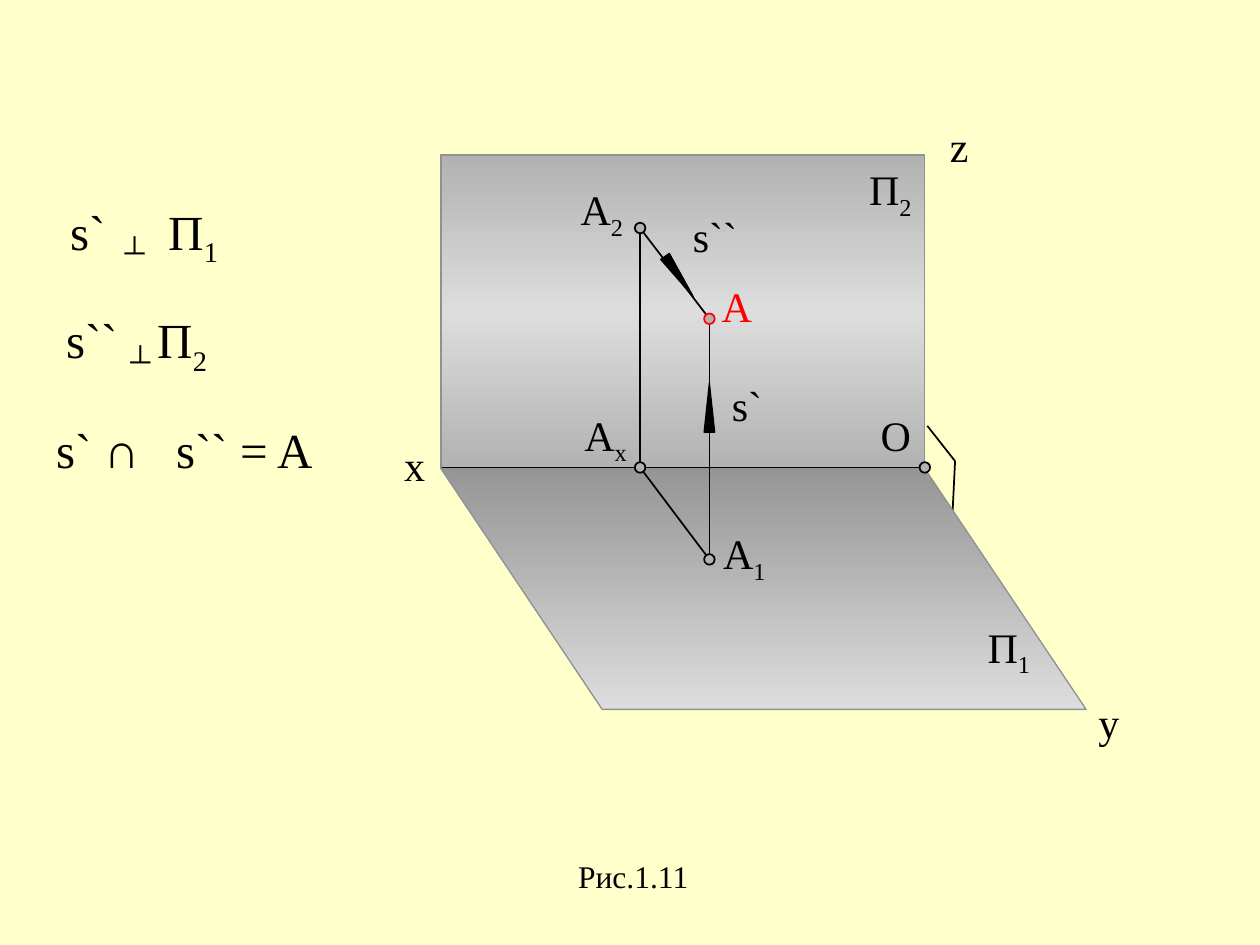
import copy

import pptx
import pptx.dml.color
import pptx.enum.shapes
import pptx.enum.text
import pptx.oxml.ns
import pptx.util
from lxml import etree

RGBColor = pptx.dml.color.RGBColor
SHAPE = pptx.enum.shapes.MSO_SHAPE
qn = pptx.oxml.ns.qn

CREAM = RGBColor(0xFF, 0xFF, 0xCC)
BLACK = RGBColor(0x00, 0x00, 0x00)
RED = RGBColor(0xFF, 0x00, 0x00)
EDGE = RGBColor(0x91, 0x91, 0x91)
DARK = RGBColor(0x96, 0x96, 0x96)
GRAY = RGBColor(0xB2, 0xB2, 0xB2)
LIGHT = RGBColor(0xDD, 0xDD, 0xDD)

COLUMNS, ROWS = 100, 75
DOT = 0.84
ARROW_WIDTH, ARROW_LENGTH = 0.84, 3.9


class Drawing:
    """Style and current slide; lengths are in grid columns and rows."""

    font_name = "Times New Roman"

    def __init__(self, presentation):
        self.column = presentation.slide_width / COLUMNS
        self.row = presentation.slide_height / ROWS
        self.slide = presentation.slides.add_slide(presentation.slide_layouts[6])
        self.slide.background.fill.solid()
        self.slide.background.fill.fore_color.rgb = CREAM

    def place(self, *lengths):
        steps = (self.column, self.row) * 2
        return [round(length * step) for length, step in zip(lengths, steps)]

    def shape(self, kind, box, line_color, line_width):
        shape = self.slide.shapes.add_shape(kind, *self.place(*box))
        shape.shadow.inherit = False
        shape.line.color.rgb = line_color
        shape.line.width = pptx.util.Pt(line_width)
        return shape

    def solid(self, kind, box, color, line_color=BLACK, line_width=1):
        shape = self.shape(kind, box, line_color, line_width)
        shape.fill.solid()
        shape.fill.fore_color.rgb = color
        return shape

    def plane(self, kind, box, colors):
        shape = self.shape(kind, box, EDGE, 0.75)
        shape.fill.gradient()
        shape.fill.gradient_angle = 270
        stop_list = shape.element.spPr.find(".//" + qn("a:gsLst"))
        for _ in colors[2:]:
            stop_list.append(copy.deepcopy(stop_list[0]))
        for index, (stop, color) in enumerate(zip(shape.fill.gradient_stops, colors)):
            stop.position = index / (len(colors) - 1)
            stop.color.rgb = color
        return shape

    def dot(self, point, line_color=BLACK):
        column, row = point
        box = (column - DOT / 2, row - DOT / 2, DOT, DOT)
        self.solid(SHAPE.OVAL, box, GRAY, line_color)

    def arrow(self, center, rotation=0):
        column, row = center
        box = (column - ARROW_WIDTH / 2, row - ARROW_LENGTH / 2, ARROW_WIDTH, ARROW_LENGTH)
        self.solid(SHAPE.ISOSCELES_TRIANGLE, box, BLACK, line_width=0.75).rotation = rotation

    def line(self, start, end):
        connector = self.slide.shapes.add_connector(
            pptx.enum.shapes.MSO_CONNECTOR.STRAIGHT, *self.place(*start, *end))
        connector.line.color.rgb = BLACK
        connector.line.width = pptx.util.Pt(1)
        etree.SubElement(connector.element.spPr, qn("a:effectLst"))

    def label(self, box, pieces, size=24, color=BLACK, tabs=(), wrap=False):
        """Write the pieces as runs; a leading underscore marks a subscript."""
        frame = self.slide.shapes.add_textbox(*self.place(*box)).text_frame
        frame.word_wrap = wrap
        frame.auto_size = pptx.enum.text.MSO_AUTO_SIZE.SHAPE_TO_FIT_TEXT
        paragraph = frame.paragraphs[0]
        if tabs:
            properties = paragraph._p.get_or_add_pPr()
            tab_list = etree.SubElement(properties, qn("a:tabLst"))
            for tab in tabs:
                position = str(round(tab * self.column))
                etree.SubElement(tab_list, qn("a:tab"), pos=position, algn="l")
        paragraph.font.name = self.font_name
        paragraph.font.size = pptx.util.Pt(size)
        paragraph.font.color.rgb = color
        for piece in pieces:
            run = paragraph.add_run()
            run.text = piece.removeprefix("_")
            if piece.startswith("_"):
                run.font._element.set("baseline", "-25000")
        return paragraph


def main():
    presentation = pptx.Presentation()
    presentation.slide_width = pptx.util.Inches(10)
    presentation.slide_height = pptx.util.Inches(7.5)
    drawing = Drawing(presentation)

    # Points of the construction
    left, middle, right = 50.8, 56.3, 73.4
    axis = 37.1
    point_a, point_a1, point_a2 = (middle, 25.3), (middle, 44.4), (left, 18.1)
    point_ax, origin = (left, axis), (right, axis)

    # Projection planes, with the right-angle mark behind the lower one
    drawing.plane(SHAPE.RECTANGLE, (35, 12.3, 38.4, 24.9), (GRAY, LIGHT, GRAY))
    corner = (75.8, 36.6)
    drawing.line((75.6, 40.7), corner)
    drawing.line(corner, (73.6, 33.8))
    floor = drawing.plane(SHAPE.PARALLELOGRAM, (35, 37.2, 51.2, 19.1), (DARK, LIGHT))
    floor.adjustments[0] = 0.67
    floor.element.spPr.find(qn("a:xfrm")).set("flipH", "1")

    # Axis, projection lines and their directions
    for start, end in (((35.1, axis), origin), (point_a2, point_a), (point_ax, point_a1),
                       (point_a2, point_ax), (point_a, point_a1)):
        drawing.line(start, end)
    drawing.arrow((53.9, 21.95), 145)
    drawing.arrow((middle, 32.35))

    # Points
    for point in (origin, point_ax, point_a1, point_a2):
        drawing.dot(point)
    drawing.dot(point_a, RED)

    # Labels with an index
    for column, row, letter, index in (
            (68, 12.5, "П", "_2"), (77.4, 48.8, "П", "_1"), (45.1, 14.1, "A", "_2"),
            (45.4, 32, "A", "_x"), (56.4, 41.4, "A", "_1")):
        drawing.label((column, row, 5.4, 5.6), (letter, index))

    # Plain labels
    for column, row, width, text, color in (
            (54, 16.2, 5.5, "s``", BLACK), (57.1, 29.6, 4.4, "s`", BLACK),
            (56.3, 21.8, 4.4, "A", RED), (86.2, 54.8, 3.6, "y", BLACK),
            (74.4, 9.1, 3.5, "z", BLACK), (31.1, 34.4, 3.6, "х", BLACK),
            (68.9, 32, 4.4, "O", BLACK)):
        drawing.label((column, row, width, 5), (text,), color=color)

    # Conditions
    drawing.label((4.6, 15.5, 13.8, 11.6), ("s`\t", "_┴", "\tП", "_1"), 28, tabs=(4.3, 7.8))
    drawing.label((4.3, 24.1, 14.1, 11.6), ("s`` ", "_┴ ", "П", "_2"), 28, wrap=True)
    meeting = drawing.label((3.5, 32.8, 22.8, 10.4), ("s` ", "∩", "\ts`` = A"), 28, tabs=(9.5,))
    meeting.runs[1].font.name = "Arial"

    # Caption
    drawing.label((44.9, 67.5, 10.8, 4), ("Рис.1.11",), 18)

    presentation.save("out.pptx")


if __name__ == "__main__":
    main()
